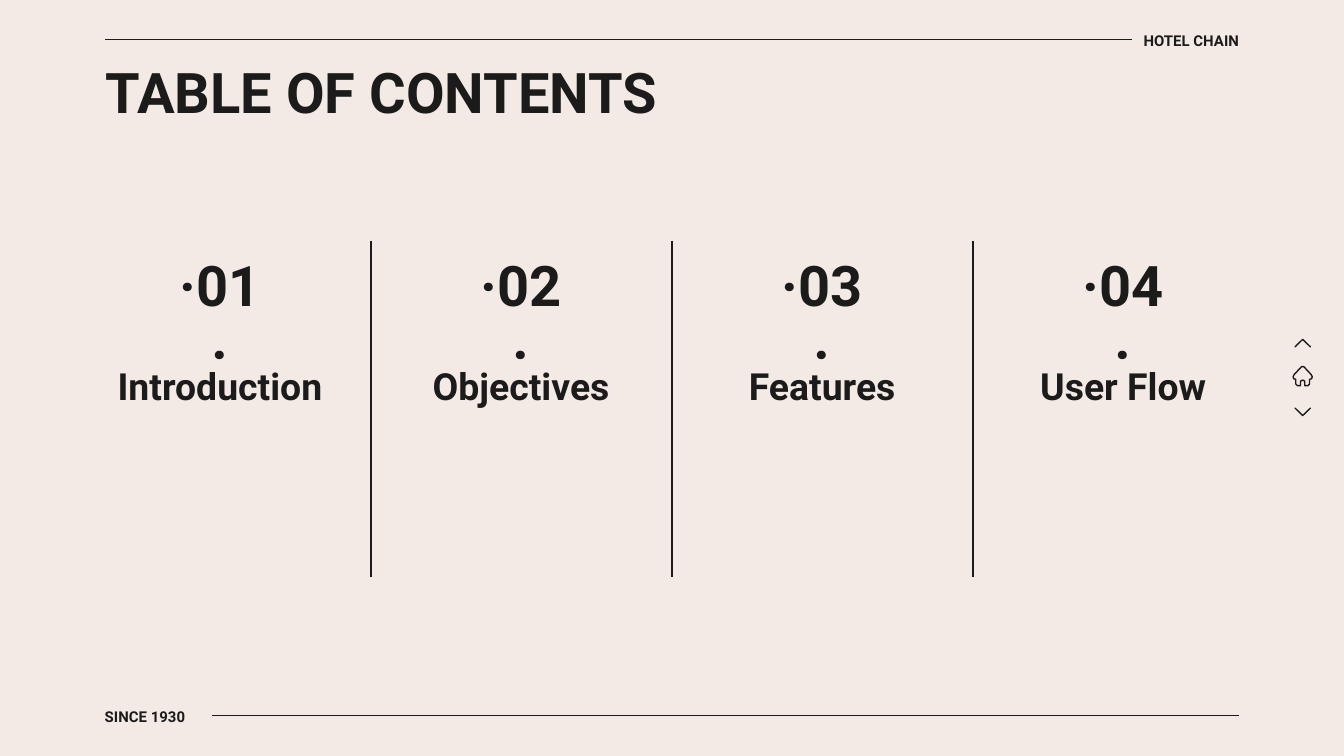
from lxml.etree import SubElement
from pptx import Presentation
from pptx.dml.color import RGBColor as Rgb
from pptx.enum.shapes import MSO_CONNECTOR as Link, MSO_SHAPE as Kind
from pptx.enum.text import MSO_ANCHOR as Anchor, PP_ALIGN as Align
from pptx.oxml.ns import qn
from pptx.util import Cm, Pt

COLORS = {"ink": "1B1B1B", "paper": "F4EAE5"}
INK = Rgb.from_string(COLORS["ink"])

deck = Presentation()
deck.slide_width, deck.slide_height = Cm(25.4), Cm(14.29)
slide = deck.slides.add_slide(deck.slide_layouts[6])
slide.background.fill.solid()
slide.background.fill.fore_color.rgb = Rgb.from_string(COLORS["paper"])
shapes = slide.shapes


def add_text(text, x, y, w, h, size, align=Align.LEFT, anchor=Anchor.MIDDLE):
    frame = shapes.add_textbox(Cm(x), Cm(y), Cm(w), Cm(h)).text_frame
    frame.word_wrap = True
    frame.vertical_anchor = anchor
    frame.margin_left = frame.margin_right = 0
    frame.margin_top = frame.margin_bottom = 0
    para = frame.paragraphs[0]
    para.alignment = align
    run = para.add_run()
    run.text = text
    run.font.name, run.font.size, run.font.bold = "Roboto", Pt(size), True
    run.font.color.rgb = INK


def add_line(x1, y1, x2, y2):
    line = shapes.add_connector(Link.STRAIGHT, Cm(x1), Cm(y1), Cm(x2), Cm(y2))
    line.line.color.rgb = INK
    line.line.width = Pt(0.75)
    SubElement(line._element.spPr, qn("a:effectLst"))


add_text("TABLE OF CONTENTS", 2, 1.09, 21.41, 1.27, 30, anchor=Anchor.TOP)
add_text("HOTEL CHAIN", 21.39, 0.56, 2.03, 0.41, 8, Align.RIGHT)
add_line(21.39, 0.75, 1.98, 0.75)
add_text("SINCE 1930", 1.98, 13.34, 2.03, 0.41, 8)
add_line(4.01, 13.53, 23.42, 13.53)

STEP = 5.69
topics = ["Introduction", "Objectives", "Features", "User Flow"]
for i, topic in enumerate(topics):
    left = 2 + i * STEP
    add_text(f"·{i + 1:02}·", left + 1.27, 5.38, 1.78, 1.27, 30, Align.CENTER)
    add_text(topic, left, 6.65, 4.32, 1.27, 20, Align.CENTER)
    if i:
        edge = 12.7 + (i - 2) * STEP
        add_line(edge, 4.55, edge, 10.9)

MID = 2462
half = [(2, 693), (16, 708), (18, 712), (17, 716), (13, 717),
        (13, 726), (10, 729), (4, 729), (4, 721), (2, 719)]
right = [(MID + x, y) for x, y in half]
left = [(MID - x, y) for x, y in reversed(half)]
pen = shapes.build_freeform(*right[0], scale=Cm(0.01))
pen.add_line_segments(right[1:] + left, close=True)
icons = [pen.convert_to_shape()]

for y, turn in [(6.34, 270), (7.64, 90)]:
    arrow = shapes.add_shape(Kind.CHEVRON, Cm(24.55), Cm(y), Cm(0.14), Cm(0.29))
    arrow.adjustments[0] = 1
    arrow.rotation = turn
    icons.append(arrow)

for icon in icons:
    icon.shadow.inherit = False
    icon.fill.background()
    icon.line.color.rgb = INK
    icon.line.width = Pt(0.75)

deck.save("out.pptx")
